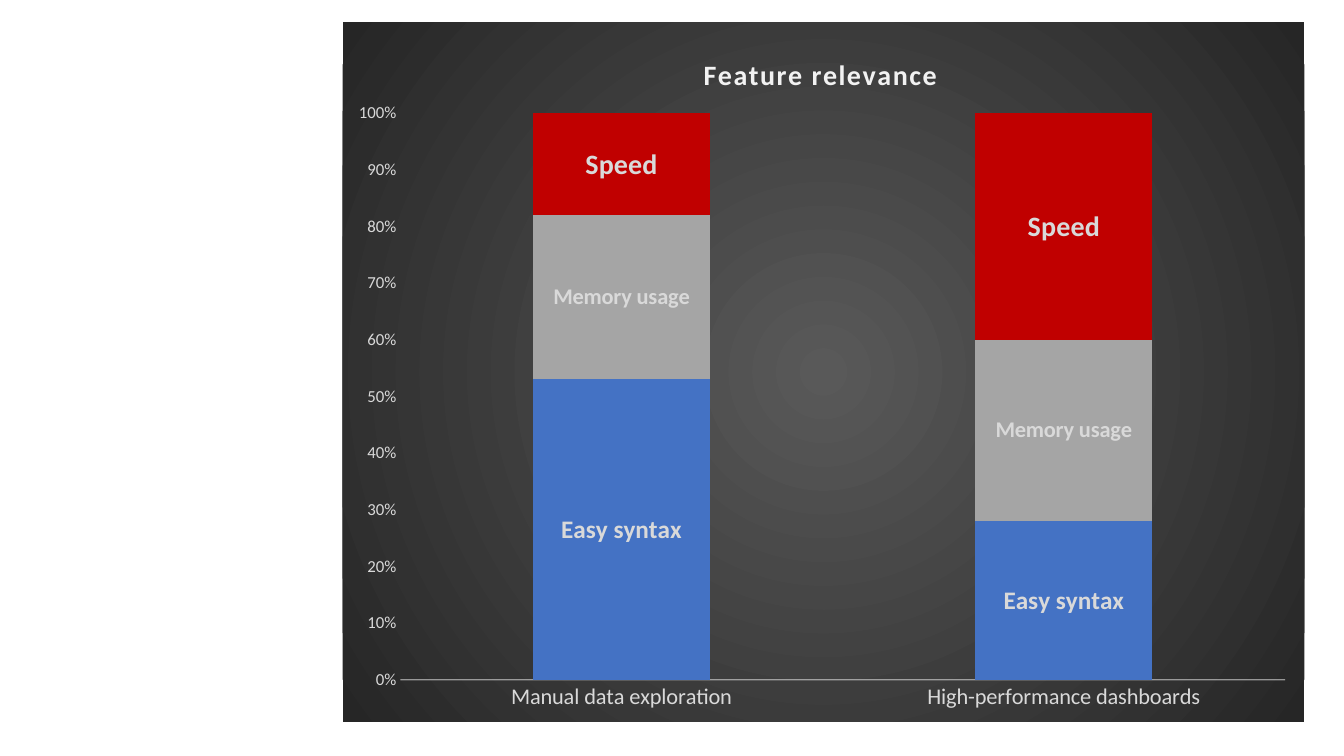
from dataclasses import dataclass

from lxml import etree
from pptx import Presentation
from pptx.chart import data as cd
from pptx.dml import color as dc
from pptx.enum import chart as ec
from pptx.util import Pt

NS = (
    'xmlns:c="http://schemas.openxmlformats.org/drawingml/2006/chart" '
    'xmlns:a="http://schemas.openxmlformats.org/drawingml/2006/main"'
)
FONT = "Calibri"
PALE = "D9D9D9"


@dataclass
class Band:
    name: str
    vals: tuple[int, int]
    fill: str
    size: int


BANDS = [
    Band("Easy syntax", (53, 28), "4472C4", 18),
    Band("Memory usage", (29, 32), "A5A5A5", 16),
    Band("Speed", (18, 40), "C00000", 20),
]


def rgb(code: str) -> dc.RGBColor:
    return dc.RGBColor.from_string(code)


def style(font, size: int, code: str, bold: bool = False) -> None:
    font.name = FONT
    font.size = Pt(size)
    font.bold = bold
    font.color.rgb = rgb(code)


def layout(spots: dict[str, float], inner: bool = False):
    target = '<c:layoutTarget val="inner"/>' if inner else ""
    modes = "".join(f'<c:{k}Mode val="edge"/>' for k in "xy")
    sizes = "".join(f'<c:{k} val="{v}"/>' for k, v in spots.items())
    return etree.fromstring(
        f"<c:layout {NS}><c:manualLayout>{target}{modes}{sizes}"
        "</c:manualLayout></c:layout>"
    )


def place(node, after, spots: dict[str, float], inner: bool = False) -> None:
    for old in node.xpath("./c:layout"):
        node.remove(old)
    new = layout(spots, inner)
    if after is None:
        node.insert(0, new)
    else:
        after.addnext(new)


def shade(root, inside: str, edge: str) -> None:
    stops = "".join(
        f'<a:gs pos="{pos}"><a:srgbClr val="{code}"/></a:gs>'
        for pos, code in ((0, inside), (100000, edge))
    )
    rect = " ".join(f'{side}="50000"' for side in "ltrb")
    fill = etree.fromstring(
        f"<c:spPr {NS}><a:gradFill><a:gsLst>{stops}</a:gsLst>"
        f'<a:path path="circle"><a:fillToRect {rect}/></a:path></a:gradFill>'
        "<a:ln><a:noFill/></a:ln></c:spPr>"
    )
    root.xpath("./c:chart")[0].addnext(fill)


def head(chart, words: str) -> None:
    chart.has_title = True
    title = chart.chart_title
    title.include_in_layout = False
    run = title.text_frame.paragraphs[0].add_run()
    run.text = words
    style(run.font, 20, "F2F2F2", True)
    run.font._element.set("spc", "100")
    node = chart.element.xpath("./c:chart/c:title")[0]
    place(node, node.xpath("./c:tx")[0], {"x": 0.37, "y": 0.04})


def axes(chart) -> None:
    cat, val = chart.category_axis, chart.value_axis
    for axis, size in ((cat, 16), (val, 12)):
        axis.major_tick_mark = ec.XL_TICK_MARK.NONE
        axis.minor_tick_mark = ec.XL_TICK_MARK.NONE
        axis.has_major_gridlines = False
        style(axis.tick_labels.font, size, PALE)
    val.tick_labels.number_format = "0%"
    val.tick_labels.number_format_is_linked = False
    val.format.line.fill.background()
    line = cat.format.line
    line.width = Pt(1)
    line.color.rgb = rgb("F2F2F2")
    tint = chart.element.xpath(".//c:catAx/c:spPr/a:ln//a:srgbClr")[0]
    etree.SubElement(tint, tint.tag.replace("srgbClr", "alpha"), val="54000")


def paint(series, band: Band) -> None:
    series.format.fill.solid()
    series.format.fill.fore_color.rgb = rgb(band.fill)
    labels = series.data_labels
    labels.show_value = False
    labels.show_series_name = True
    labels.position = ec.XL_LABEL_POSITION.CENTER
    style(labels.font, band.size, PALE, True)


def main() -> None:
    deck = Presentation()
    deck.slide_width, deck.slide_height = Pt(960), Pt(540)
    slide = deck.slides.add_slide(deck.slide_layouts[6])

    data = cd.CategoryChartData()
    data.categories = ["Manual data exploration", "High-performance dashboards"]
    for band in BANDS:
        data.add_series(band.name, band.vals)
    frame = slide.shapes.add_chart(
        ec.XL_CHART_TYPE.COLUMN_STACKED_100,
        Pt(244.8), Pt(15.84), Pt(686.88), Pt(499.68), data,
    )
    chart = frame.chart
    chart.has_legend = False
    style(chart.font, 10, "000000")
    head(chart, "Feature relevance")
    axes(chart)
    plot = chart.plots[0]
    plot.gap_width, plot.overlap = 150, 100
    plot.vary_by_categories = False
    for series, band in zip(plot.series, BANDS):
        paint(series, band)
    area = chart.element.xpath("./c:chart/c:plotArea")[0]
    place(area, None, {"x": 0.06, "y": 0.13, "w": 0.92, "h": 0.81}, True)
    shade(chart.element, "595959", "262626")
    deck.save("out.pptx")


if __name__ == "__main__":
    main()
